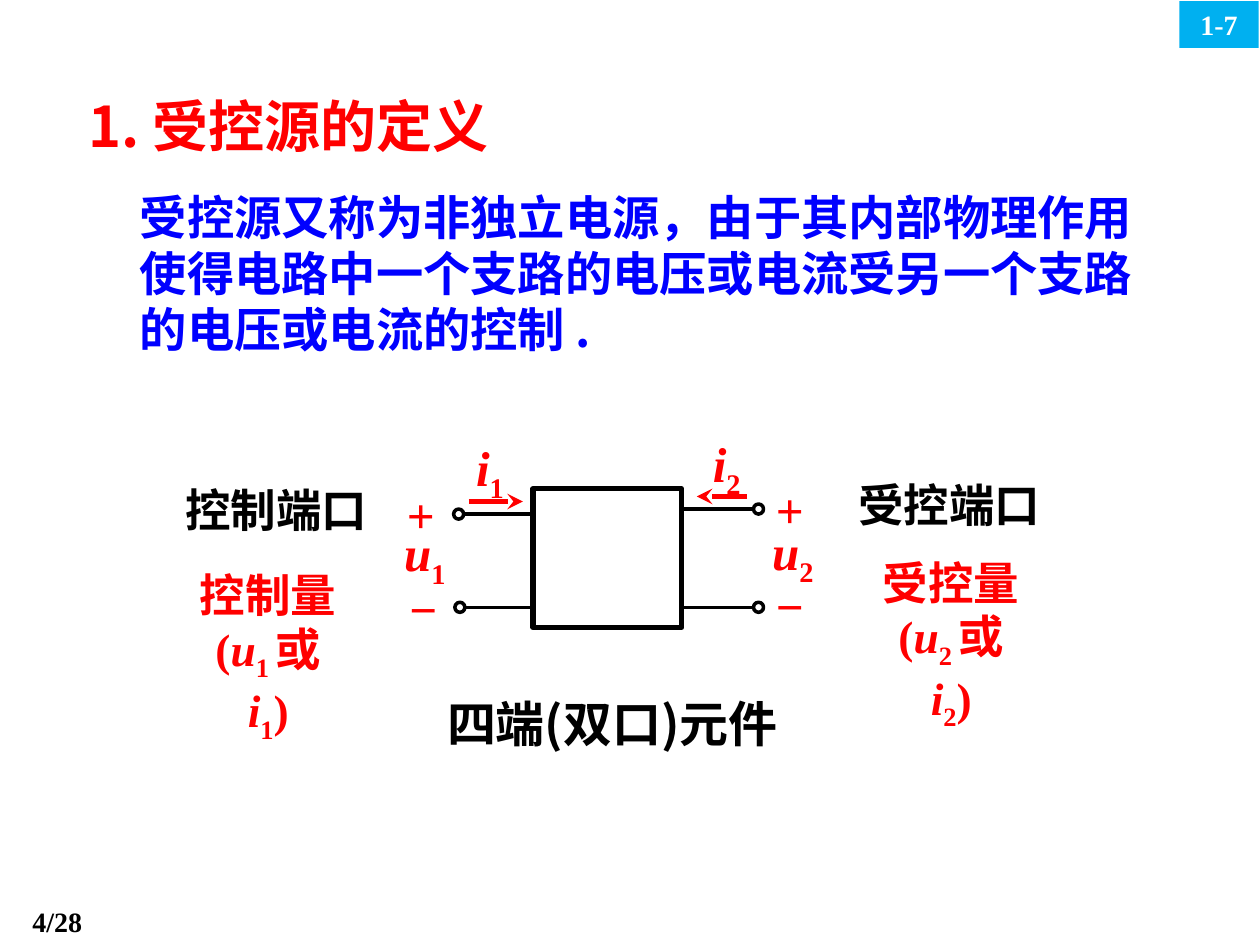
"""Build a slide that defines controlled sources with a two-port diagram."""
import pptx
import pptx.util
import pptx.dml.color
import pptx.enum.shapes
import pptx.enum.text
import pptx.oxml.ns
from lxml import etree

Inches, Pt = pptx.util.Inches, pptx.util.Pt
Align = pptx.enum.text.PP_ALIGN
Shape = pptx.enum.shapes.MSO_SHAPE
HAN, ROMAN = "Noto Sans CJK SC", "Times New Roman"
RED, BLUE, BLACK = "FF0000", "0000FF", "000000"


def color(code):
    return pptx.dml.color.RGBColor.from_string(code)


def child(node, tag, **attrs):
    return etree.SubElement(node, pptx.oxml.ns.qn(tag), attrs)


def write(frame, *paras, size=28, font=ROMAN, ink=RED, align=Align.LEFT, space=None, wrap=True):
    """Fill a frame; each paragraph is a string or a list of (text, mark) runs."""
    frame.word_wrap = wrap
    frame.auto_size = pptx.enum.text.MSO_AUTO_SIZE.NONE
    frame.vertical_anchor = pptx.enum.text.MSO_ANCHOR.TOP
    for n, runs in enumerate(paras):
        para = frame.add_paragraph() if n else frame.paragraphs[0]
        para.alignment = align
        para.space_before = Pt(0)
        if space:
            para.line_spacing = space
        for text, mark in [(runs, "")] if isinstance(runs, str) else runs:
            run = para.add_run()
            run.text = text
            face = run.font
            face.name, face.size, face.bold = font, Pt(size), True
            face.italic = mark == "var"
            face.color.rgb = color(ink)
            props = run._r.get_or_add_rPr()
            child(props, "a:ea", typeface=HAN)
            if mark == "sub":
                props.set("baseline", "-25000")


class Deck:
    """Hold the file, the current slide and the drawing style."""

    def __init__(self):
        self.file = pptx.Presentation()
        self.file.slide_width, self.file.slide_height = Inches(10), Inches(7.5)
        self.slide = self.file.slides.add_slide(self.file.slide_layouts[1])

    def holder(self, idx, box, text, **form):
        item = self.slide.placeholders[idx]
        item.left, item.top, item.width, item.height = map(Inches, box)
        write(item.text_frame, text, **form)
        if idx:
            props = item.text_frame.paragraphs[0]._p.get_or_add_pPr()
            props.set("marL", "0")
            props.set("indent", "0")
            child(props, "a:buNone")

    def text(self, box, *paras, pad=0.1, **form):
        frame = self.slide.shapes.add_textbox(*map(Inches, box)).text_frame
        frame.margin_left = frame.margin_right = Inches(pad)
        write(frame, *paras, **form)

    def shape(self, kind, box, fill=None, line=None):
        item = self.slide.shapes.add_shape(kind, *map(Inches, box))
        item.shadow.inherit = False
        if fill:
            item.fill.solid()
            item.fill.fore_color.rgb = color(fill)
        else:
            item.fill.background()
        if line:
            item.line.color.rgb = color(BLACK)
            item.line.width = Pt(line)
        else:
            item.line.fill.background()
        return item

    def line(self, x, y, end, ink=BLACK, width=2, head=False):
        kind = pptx.enum.shapes.MSO_CONNECTOR.STRAIGHT
        item = self.slide.shapes.add_connector(kind, *map(Inches, (x, y, end, y)))
        item.line.color.rgb = color(ink)
        item.line.width = Pt(width)
        if head:
            child(item.line._get_or_add_ln(), "a:tailEnd", type="stealth")
        child(item._element.spPr, "a:effectLst")


def main():
    deck = Deck()
    deck.holder(0, (0.6, 0.68, 8.75, 0.7), "1. 受控源的定义", size=32, font=HAN, space=Pt(38))
    deck.holder(1, (1.01, 1.45, 8.22, 1.46),
                "受控源又称为非独立电源，由于其内部物理作用使得电路中一个支路的电压或电流"
                "受另一个支路的电压或电流的控制 .",
                size=27, font=HAN, ink=BLUE, space=Pt(32))
    deck.text((0, 7.13, 0.75, 0.37), "4/28", size=16, ink=BLACK, align=Align.RIGHT, wrap=False)
    badge = deck.shape(Shape.RECTANGLE, (9.36, 0.01, 0.63, 0.37), fill="00B0F0")
    write(badge.text_frame, "1-7", size=16, ink="FFFFFF", align=Align.CENTER)

    label = dict(font=HAN, ink=BLACK, align=Align.CENTER)
    deck.text((1.33, 3.78, 1.73, 0.54), "控制端口", size=26, space=Pt(31), **label)
    deck.text((6.57, 3.74, 1.93, 0.54), "受控端口", size=26, space=Pt(31), **label)
    deck.text((3.38, 5.46, 2.96, 0.97), "四端(双口)元件", space=Pt(33), **label)

    deck.shape(Shape.RECTANGLE, (4.23, 3.88, 1.18, 1.1), line=3)
    for wire, ring, y in ((3.69, 3.6, 4.08), (3.69, 3.61, 4.82), (5.43, 5.98, 4.04), (5.43, 5.98, 4.82)):
        deck.line(wire, y, wire + 0.55)
        deck.shape(Shape.OVAL, (ring, y - 0.04, 0.08, 0.08), line=2)
    deck.line(3.72, 3.98, 4.15, RED, 3, head=True)
    deck.line(5.93, 3.94, 5.53, RED, 3, head=True)

    ports = (
        ("1", "控制量", (3.13, 3.8), (3.11, 4.1), (3.15, 4.54), (3.68, 3.47), (1.31, 4.4)),
        ("2", "受控量", (6.06, 3.76), (6.03, 4.09), (6.06, 4.52), (5.56, 3.44), (6.73, 4.3)),
    )
    for num, name, plus, volt, minus, amp, note in ports:
        deck.text((*plus, 0.39, 0.57), "+")
        deck.text((*volt, 0.73, 0.57), [("u", "var"), (num, "sub")])
        deck.text((*minus, 0.39, 0.57), "−")
        deck.text((*amp, 0.6, 0.48), [("i", "var"), (num, "sub")], space=0.8)
        deck.text((*note, 1.64, 1.5), name,
                  [("(", ""), ("u", "var"), (num + " ", "sub"), ("或", ""),
                   (" i", "var"), (num, "sub"), (")", "")],
                  pad=0.2, size=26, align=Align.CENTER, space=Pt(35))
    deck.file.save("out.pptx")


if __name__ == "__main__":
    main()
